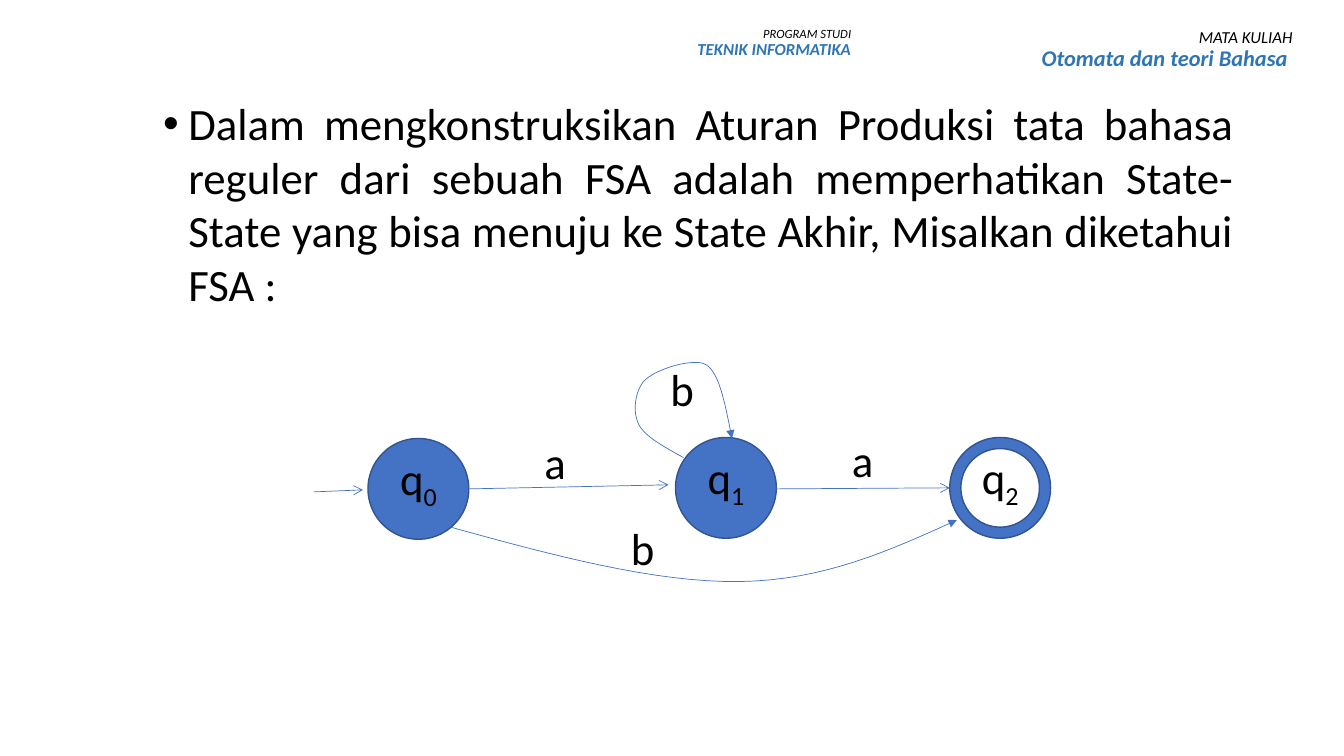
from lxml import etree
from pptx import Presentation
from pptx.dml.color import RGBColor
from pptx.enum.shapes import MSO_CONNECTOR, MSO_SHAPE
from pptx.enum.text import MSO_AUTO_SIZE, PP_ALIGN
from pptx.oxml.ns import qn
from pptx.util import Inches, Pt

LEFT, RIGHT, JUSTIFY = PP_ALIGN.LEFT, PP_ALIGN.RIGHT, PP_ALIGN.JUSTIFY
ELLIPSE, DONUT = MSO_SHAPE.OVAL, MSO_SHAPE.DONUT
STRAIGHT = MSO_CONNECTOR.STRAIGHT
COLORS = {"text": "000000", "accent": "2E75B6", "state": "4472C4", "edge": "325491"}
FONT = "Calibri"
COLS, ROWS = 133.3, 75  # grid cells across and down the slide
STATE_SIZE = 10
CURVE_STEPS = 16


def cells(n):
    """Length of n grid cells, each a tenth of an inch."""
    return Inches(n / 10)


def rgb(name):
    return RGBColor.from_string(COLORS[name])


def style_run(r, size, color="text", bold=False, italic=False):
    f = r.font
    f.name, f.size, f.bold, f.italic = FONT, Pt(size), bold, italic
    f.color.rgb = rgb(color)


def add_box(s, x, y, w, h, wrap=True):
    tf = s.shapes.add_textbox(cells(x), cells(y), cells(w), cells(h)).text_frame
    tf.word_wrap = wrap
    return tf


def add_bullet_text(s, x, y, w, h, text):
    tf = add_box(s, x, y, w, h)
    tf.auto_size = MSO_AUTO_SIZE.SHAPE_TO_FIT_TEXT
    p = tf.paragraphs[0]
    p.text = text
    p.alignment = JUSTIFY
    pPr = p._p.get_or_add_pPr()
    pPr.set("marL", str(cells(2.5)))
    pPr.set("indent", str(-cells(2.5)))
    etree.SubElement(pPr, qn("a:buFont")).set("typeface", "Arial")
    etree.SubElement(pPr, qn("a:buChar")).set("char", "•")
    style_run(p.runs[0], 32)


def add_header(s, x, y, w, h, lines):
    """Right-aligned heading; lines holds (text, size, color, bold)."""
    tf = add_box(s, x, y, w, h)
    for i, (text, size, color, bold) in enumerate(lines):
        p = tf.add_paragraph() if i else tf.paragraphs[0]
        p.text = text
        p.alignment = RIGHT
        p.line_spacing = 0.9
        style_run(p.runs[0], size, color, bold, italic=True)


def add_label(s, x, y, w, text, subscript=""):
    tf = add_box(s, x, y, w, 6.4, wrap=False)
    tf.auto_size = MSO_AUTO_SIZE.SHAPE_TO_FIT_TEXT
    p = tf.paragraphs[0]
    p.alignment = LEFT
    for part in filter(None, (text, subscript)):
        r = p.add_run()
        r.text = part
        style_run(r, 32)
    if subscript:
        r.font._element.set("baseline", "-25000")


def add_state(s, x, y, number, final=False):
    sp = s.shapes.add_shape(DONUT if final else ELLIPSE, cells(x), cells(y),
                            cells(STATE_SIZE), cells(STATE_SIZE))
    if final:
        sp.adjustments[0] = 0.11
    sp.shadow.inherit = False
    sp.fill.solid()
    sp.fill.fore_color.rgb = rgb("state")
    sp.line.color.rgb = rgb("edge")
    sp.line.width = Pt(1)
    add_label(s, x + 2.2, y + 0.7, 5.8, "q", number)


def style_arrow(sp, head):
    sp.line.color.rgb = rgb("state")
    sp.line.width = Pt(0.5)
    etree.SubElement(sp.line._get_or_add_ln(), qn("a:tailEnd")).set("type", head)


def add_arrow(s, x1, y1, x2, y2):
    cx = s.shapes.add_connector(STRAIGHT, cells(x1), cells(y1), cells(x2), cells(y2))
    style_arrow(cx, "arrow")
    etree.SubElement(cx._element.spPr, qn("a:effectLst"))


def bezier(points, t):
    """Point at t on the cubic curve with four control points."""
    u = 1 - t
    weights = (u ** 3, 3 * u * u * t, 3 * u * t * t, t ** 3)
    return tuple(cells(sum(w * pt[axis] for w, pt in zip(weights, points)))
                 for axis in (0, 1))


def add_curved_arrow(s, points):
    """Arrow along joined cubic curves, each sharing its end with the next."""
    track = [bezier(points[i:i + 4], step / CURVE_STEPS)
             for i in range(0, len(points) - 1, 3)
             for step in range(1, CURVE_STEPS + 1)]
    fb = s.shapes.build_freeform(*bezier(points[:4], 0))
    fb.add_line_segments(track, close=False)
    sp = fb.convert_to_shape()
    sp.shadow.inherit = False
    sp.fill.background()
    style_arrow(sp, "triangle")


def main():
    prs = Presentation()
    prs.slide_width, prs.slide_height = cells(COLS), cells(ROWS)
    s = prs.slides.add_slide(prs.slide_layouts[6])

    add_bullet_text(s, 15.2, 9, 108.2, 22.6,
                    "Dalam mengkonstruksikan Aturan Produksi tata bahasa reguler "
                    "dari sebuah FSA adalah memperhatikan State-State yang bisa "
                    "menuju ke State Akhir, Misalkan diketahui FSA :")

    add_state(s, 36.5, 43.5, "0")
    add_state(s, 67, 43.4, "1")
    add_state(s, 94.2, 43.4, "2", final=True)

    for ends in ((31.1, 48.8, 36, 48.6), (46.5, 48.5, 66.3, 48.1),
                 (77, 48.5, 94.2, 48.4)):
        add_arrow(s, *ends)
    add_curved_arrow(s, [(67.8, 45.4), (66, 44.4), (64.1, 43.4), (63.4, 42.2),
                         (62.7, 40.9), (63, 38.9), (63.8, 37.9),
                         (64.6, 36.9), (67.1, 36.1), (68.3, 36),
                         (69.5, 35.9), (70.2, 35.9), (70.9, 37.2),
                         (71.6, 38.4), (72.1, 40.9), (72.6, 43.5)])
    add_curved_arrow(s, [(44.7, 52.3), (54.8, 55.1), (64.9, 57.8), (73.3, 57.7),
                         (81.7, 57.6), (88.3, 54.6), (94.9, 51.6)])

    for x, y, w, symbol in ((53, 42.6, 3.9, "a"), (83.5, 42.4, 3.9, "a"),
                            (65.5, 35.4, 4.3, "b"), (61.6, 51.2, 4.3, "b")):
        add_label(s, x, y, w, symbol)

    add_header(s, 91.6, 2.4, 37.6, 7.4,
               [("MATA KULIAH", 12, "text", False),
                ("Otomata dan teori Bahasa ", 16, "accent", True)])
    add_header(s, 60.3, 2.2, 25.1, 5.6,
               [("PROGRAM STUDI", 9, "text", False),
                ("TEKNIK INFORMATIKA", 12, "accent", True)])
    prs.save("out.pptx")


if __name__ == "__main__":
    main()
